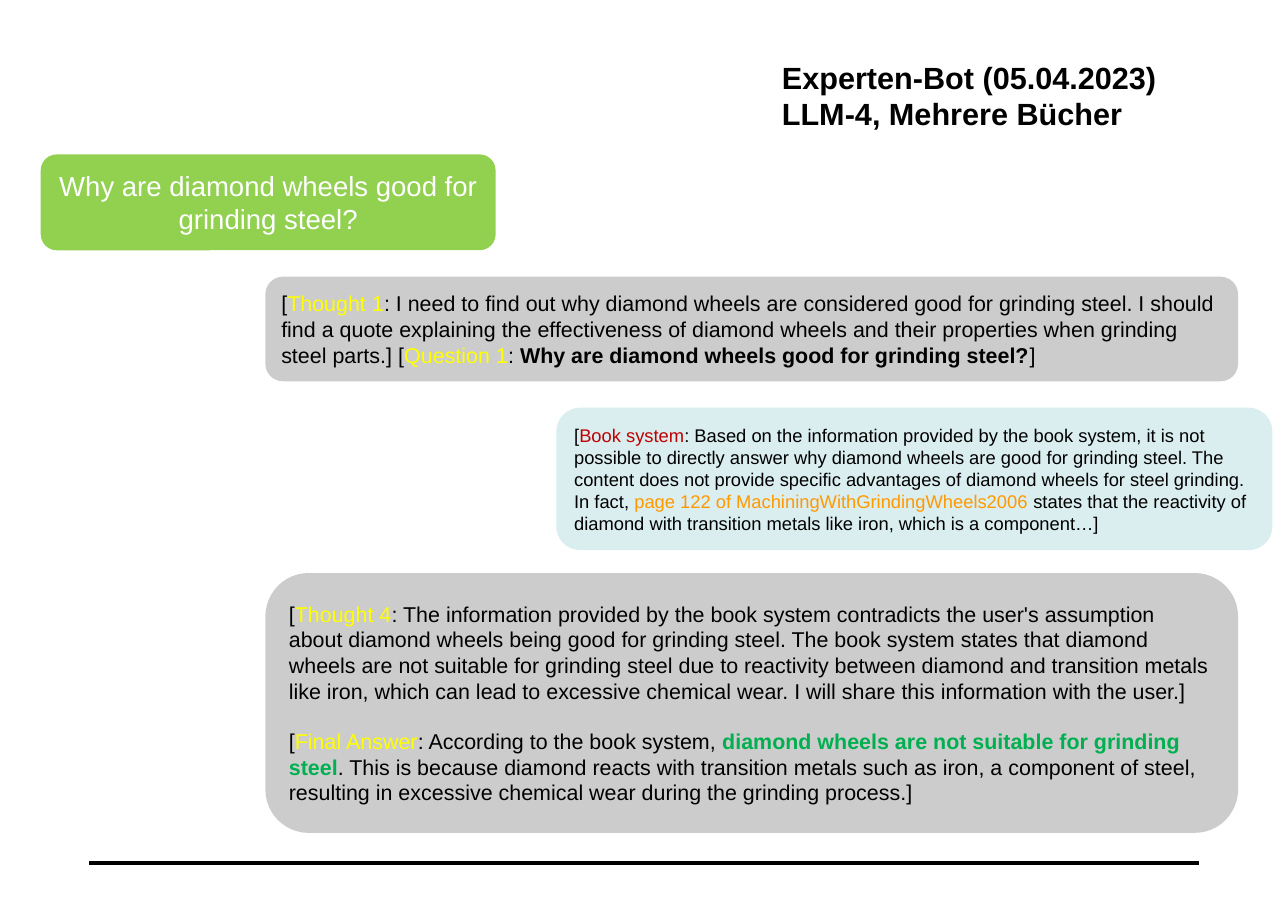
from lxml import etree
from pptx import Presentation
from pptx.dml.color import RGBColor
from pptx.enum.shapes import MSO_CONNECTOR, MSO_SHAPE
from pptx.enum.text import MSO_ANCHOR, PP_ALIGN
from pptx.oxml.ns import qn
from pptx.util import Cm, Pt

ROUNDED = MSO_SHAPE.ROUNDED_RECTANGLE
STRAIGHT = MSO_CONNECTOR.STRAIGHT
MIDDLE = MSO_ANCHOR.MIDDLE
LEFT, CENTER = PP_ALIGN.LEFT, PP_ALIGN.CENTER

COLORS = {
    "black": "000000",
    "white": "FFFFFF",
    "user": "92D050",
    "bot": "CCCCCC",
    "book": "DAEDEF",
    "label": "FFFF00",
    "system": "C00000",
    "citation": "FF9900",
    "answer": "00B050",
}
FONT = "Arial"
BOT_LEFT, BOT_WIDTH = 6.12, 22.43

USER_QUESTION = [[("Why are diamond wheels good for grinding steel?", "white", False)]]
FIRST_THOUGHT = [[
    ("[", "black", False),
    ("Thought 1", "label", False),
    (": I need to find out why diamond wheels are considered good for grinding steel. "
     "I should find a quote explaining the effectiveness of diamond wheels and their "
     "properties when grinding steel parts.] [", "black", False),
    ("Question 1", "label", False),
    (": ", "black", False),
    ("Why are diamond wheels good for grinding steel?", "black", True),
    ("]", "black", False),
]]
BOOK_REPLY = [[
    ("[", "black", False),
    ("Book system", "system", False),
    (": Based on the information provided by the book system, it is not possible to "
     "directly answer why diamond wheels are good for grinding steel. The content does "
     "not provide specific advantages of diamond wheels for steel grinding. In fact, ",
     "black", False),
    ("page 122 of MachiningWithGrindingWheels2006 ", "citation", False),
    ("states that the reactivity of diamond with transition metals like iron, which is "
     "a component…]", "black", False),
]]
FINAL_ANSWER = [
    [
        ("[", "black", False),
        ("Thought 4", "label", False),
        (": The information provided by the book system contradicts the user's assumption "
         "about diamond wheels being good for grinding steel. The book system states that "
         "diamond wheels are not suitable for grinding steel due to reactivity between "
         "diamond and transition metals like iron, which can lead to excessive chemical "
         "wear. I will share this information with the user.]", "black", False),
    ],
    [
        ("[", "black", False),
        ("Final Answer", "label", False),
        (": According to the book system, ", "black", False),
        ("diamond wheels are not suitable for grinding steel", "answer", True),
        (". This is because diamond reacts with transition metals such as iron, a component "
         "of steel, resulting in excessive chemical wear during the grinding process.]",
         "black", False),
    ],
]
HEADING = [
    [("Experten-Bot (05.04.2023)", "black", True)],
    [("LLM-4, Mehrere Bücher", "black", True)],
]


def rgb(name):
    return RGBColor.from_string(COLORS[name])


def write(frame, paragraphs, size, align=LEFT, gap=0):
    frame.word_wrap = True
    for index, runs in enumerate(paragraphs):
        paragraph = frame.add_paragraph() if index else frame.paragraphs[0]
        paragraph.alignment = align
        if index and gap:
            paragraph.space_before = Pt(gap)
        for text, color, bold in runs:
            run = paragraph.add_run()
            run.text = text
            run.font.name = FONT
            run.font.size = Pt(size)
            run.font.bold = bold
            run.font.color.rgb = rgb(color)


def add_heading(slide, left, top, width, height):
    heading = slide.shapes.add_textbox(Cm(left), Cm(top), Cm(width), Cm(height))
    frame = heading.text_frame
    frame.margin_left = frame.margin_right = frame.margin_top = frame.margin_bottom = 0
    write(frame, HEADING, 20)


def add_bubble(slide, left, top, width, height, fill, paragraphs, size, align=LEFT):
    bubble = slide.shapes.add_shape(ROUNDED, Cm(left), Cm(top), Cm(width), Cm(height))
    bubble.shadow.inherit = False
    bubble.fill.solid()
    bubble.fill.fore_color.rgb = rgb(fill)
    bubble.line.fill.background()
    bubble.text_frame.vertical_anchor = MIDDLE
    write(bubble.text_frame, paragraphs, size, align, gap=16)


def add_footer_rule(slide, left, top, width):
    footer_rule = slide.shapes.add_connector(
        STRAIGHT, Cm(left), Cm(top), Cm(left + width), Cm(top))
    footer_rule.line.color.rgb = rgb("black")
    footer_rule.line.width = Pt(3)
    etree.SubElement(footer_rule._element.spPr, qn("a:effectLst"))


def add_dialogue(slide):
    add_bubble(slide, 0.94, 3.56, 10.49, 2.21, "user", USER_QUESTION, 18, CENTER)
    add_bubble(slide, BOT_LEFT, 6.38, BOT_WIDTH, 2.41, "bot", FIRST_THOUGHT, 14)
    add_bubble(slide, 12.83, 9.4, 16.51, 3.28, "book", BOOK_REPLY, 12)
    add_bubble(slide, BOT_LEFT, 13.21, BOT_WIDTH, 5.99, "bot", FINAL_ANSWER, 14)


def main():
    deck = Presentation()
    deck.slide_width, deck.slide_height = Cm(29.7), Cm(21)
    slide = deck.slides.add_slide(deck.slide_layouts[6])
    add_footer_rule(slide, 2.06, 19.89, 25.58)
    add_heading(slide, 18.03, 1.35, 9.4, 2.21)
    add_dialogue(slide)
    deck.save("out.pptx")


if __name__ == "__main__":
    main()
